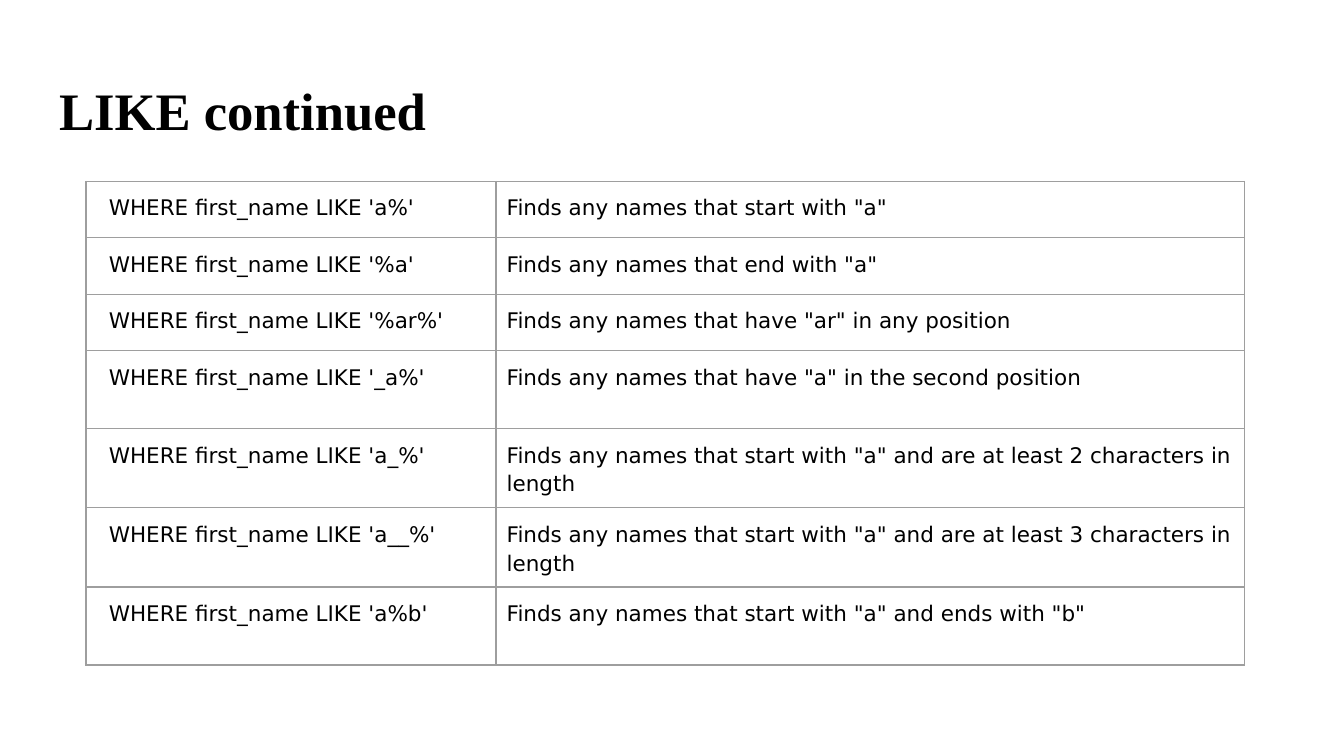
from dataclasses import dataclass

from lxml import etree
from pptx import Presentation
from pptx.dml.color import RGBColor
from pptx.enum.text import MSO_ANCHOR, MSO_AUTO_SIZE, PP_ALIGN
from pptx.oxml.ns import qn
from pptx.util import Inches, Pt

LEFT, TOP, BOTTOM = PP_ALIGN.LEFT, MSO_ANCHOR.TOP, MSO_ANCHOR.BOTTOM
NO_FIT = MSO_AUTO_SIZE.NONE
TITLE_ONLY = 5
SLIDE_WIDTH = 10
SLIDE_HEIGHT = SLIDE_WIDTH * 9 / 16


@dataclass(frozen=True)
class Theme:
    title_font: str = "Times New Roman"
    body_font: str = "DejaVu Sans"
    title_size: float = 28.2
    body_size: float = 11.5
    ink: str = "000000"
    border: str = "9E9E9E"
    border_width: float = 0.75


THEME = Theme()
COLUMNS = (3.05, 5.57)
LEFT_INSETS = (0.17, 0.08)
SHORT_ROW, TALL_ROW = 0.42, 0.58
SHORT_ROWS = 3
PATTERNS = (
    ("a%", 'start with "a"'),
    ("%a", 'end with "a"'),
    ("%ar%", 'have "ar" in any position'),
    ("_a%", 'have "a" in the second position'),
    ("a_%", 'start with "a" and are at least 2 characters in length'),
    ("a__%", 'start with "a" and are at least 3 characters in length'),
    ("a%b", 'start with "a" and ends with "b"'),
)


def write_text(tf, text, *, font, size, bold=False, line=None, gap=None):
    tf.word_wrap = True
    p = tf.paragraphs[0]
    p.alignment = LEFT
    p.line_spacing = line
    p.space_before = p.space_after = gap
    r = p.add_run()
    r.text = text
    r.font.name, r.font.size, r.font.bold = font, Pt(size), bold
    r.font.color.rgb = RGBColor.from_string(THEME.ink)


def set_borders(cell):
    """Draw the four cell edges, which must come before the cell's fill."""
    tc_pr = cell._tc.get_or_add_tcPr()
    for i, side in enumerate(("a:lnL", "a:lnR", "a:lnT", "a:lnB")):
        ln = etree.Element(qn(side), w=str(Pt(THEME.border_width)))
        fill = etree.SubElement(ln, qn("a:solidFill"))
        etree.SubElement(fill, qn("a:srgbClr"), val=THEME.border)
        tc_pr.insert(i, ln)


def add_title(s, text):
    sp = s.shapes.title
    sp.left, sp.top = Inches(0.34), Inches(0.49)
    sp.width, sp.height = Inches(9.32), Inches(0.63)
    tf = sp.text_frame
    tf.auto_size = NO_FIT
    tf.vertical_anchor = BOTTOM
    tf.margin_left = tf.margin_right = tf.margin_top = Inches(0.1)
    tf.margin_bottom = Inches(0.07)
    write_text(tf, text, font=THEME.title_font, size=THEME.title_size, bold=True)


def fill_cell(cell, text, left_inset):
    cell.fill.background()
    cell.vertical_anchor = TOP
    cell.margin_left = Inches(left_inset)
    cell.margin_right = cell.margin_top = cell.margin_bottom = Inches(0.08)
    write_text(cell.text_frame, text, font=THEME.body_font,
               size=THEME.body_size, line=1.15, gap=Pt(15))
    set_borders(cell)


def add_pattern_table(s):
    heights = [SHORT_ROW if i < SHORT_ROWS else TALL_ROW
               for i in range(len(PATTERNS))]
    table = s.shapes.add_table(
        len(PATTERNS), len(COLUMNS), Inches(0.64), Inches(1.35),
        Inches(sum(COLUMNS)), Inches(sum(heights))).table
    table.first_row = table.horz_banding = False
    for column, width in zip(table.columns, COLUMNS):
        column.width = Inches(width)
    for row, height, (pattern, meaning) in zip(table.rows, heights, PATTERNS):
        row.height = Inches(height)
        texts = (f"WHERE first_name LIKE '{pattern}'",
                 f"Finds any names that {meaning}")
        for cell, text, inset in zip(row.cells, texts, LEFT_INSETS):
            fill_cell(cell, text, inset)


def main():
    prs = Presentation()
    prs.slide_width, prs.slide_height = Inches(SLIDE_WIDTH), Inches(SLIDE_HEIGHT)
    s = prs.slides.add_slide(prs.slide_layouts[TITLE_ONLY])
    add_title(s, "LIKE continued")
    add_pattern_table(s)
    prs.save("out.pptx")


if __name__ == "__main__":
    main()
